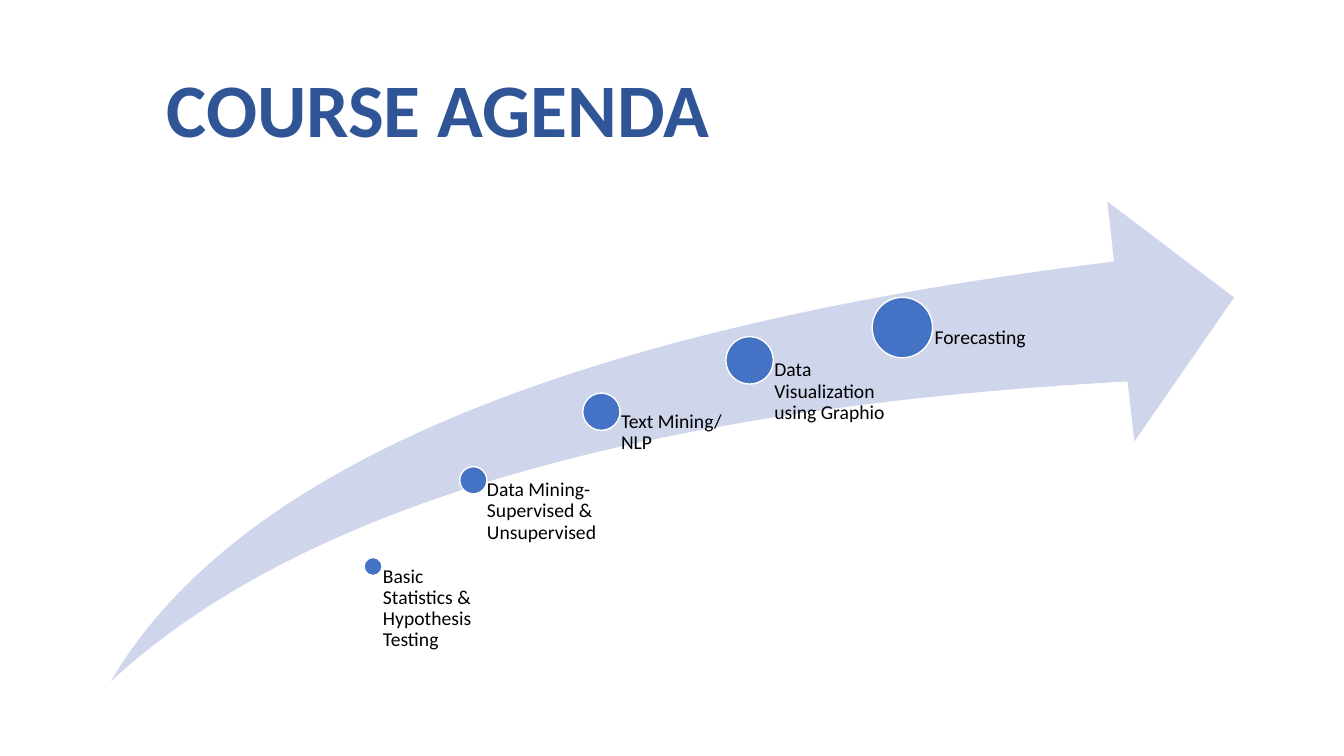
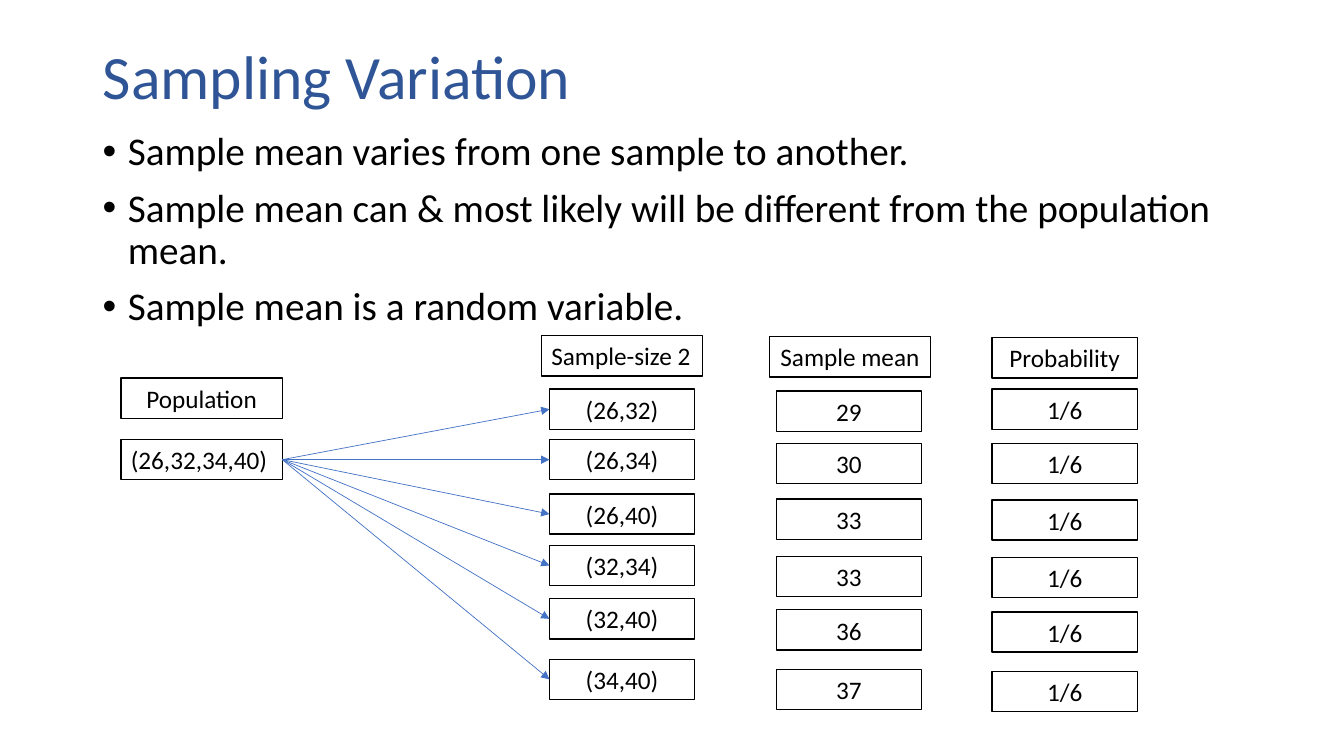
"""Build two course slides: an agenda along an arrow and a sampling variation diagram."""
from dataclasses import dataclass

from lxml.etree import SubElement
from pptx import Presentation
from pptx.dml.color import RGBColor
from pptx.enum.shapes import MSO_CONNECTOR, MSO_SHAPE
from pptx.enum.text import MSO_ANCHOR, MSO_AUTO_SIZE, PP_ALIGN
from pptx.oxml.ns import qn
from pptx.shapes.autoshape import Shape
from pptx.slide import Slide
from pptx.util import Emu, Pt

EMU_PER_PX = 9144
FONT = "Calibri"
BLACK = RGBColor(0x00, 0x00, 0x00)
WHITE = RGBColor(0xFF, 0xFF, 0xFF)
TITLE_BLUE = RGBColor(0x2F, 0x55, 0x97)
ACCENT = RGBColor(0x44, 0x72, 0xC4)
PALE_BLUE = RGBColor(0xCF, 0xD5, 0xEA)

TITLE_ONLY = 5
AGENDA_BOTTOM = 675
BOX_H = 40
CELL_W = 144
WIDE_W = 160
FAN_START = (280, 456)


@dataclass(frozen=True)
class Milestone:
    """A dot on the arrow, given by its centre, with its label."""

    text: str
    x: int
    y: int
    size: int
    label_w: int


@dataclass(frozen=True)
class Box:
    """A bordered text box of the standard height."""

    text: str
    x: int
    y: int
    w: int = CELL_W
    align: PP_ALIGN = PP_ALIGN.CENTER


@dataclass(frozen=True)
class Column:
    """A header box above a stack of cells."""

    header: Box
    x: int
    tops: tuple[int, ...]
    values: tuple[str, ...]


MILESTONES = (
    Milestone("Basic Statistics & Hypothesis Testing", 370, 562, 18, 100),
    Milestone("Data Mining- Supervised & Unsupervised", 469, 476, 27, 126),
    Milestone("Text Mining/ NLP", 596, 408, 37, 147),
    Milestone("Data Visualization using Graphio", 743, 357, 47, 152),
    Milestone("Forecasting", 895, 325, 60, 152),
)

POINTS = (
    "Sample mean varies from one sample to another.",
    "Sample mean can & most likely will be different from the population mean.",
    "Sample mean is a random variable.",
)

POPULATION = (
    Box("Population", 120, 375, WIDE_W),
    Box("(26,32,34,40)", 120, 436, WIDE_W, PP_ALIGN.LEFT),
)

SAMPLES = Column(
    Box("Sample-size 2", 537, 333, WIDE_W, PP_ALIGN.LEFT),
    545,
    (386, 436, 490, 541, 594, 654),
    ("(26,32)", "(26,34)", "(26,40)", "(32,34)", "(32,40)", "(34,40)"),
)
MEANS = Column(
    Box("Sample mean", 763, 334, WIDE_W),
    770,
    (388, 440, 495, 552, 605, 664),
    ("29", "30", "33", "33", "36", "37"),
)
PROBABILITIES = Column(
    Box("Probability", 984, 335),
    984,
    (386, 440, 496, 553, 607, 666),
    ("1/6",) * 6,
)


def px(*lengths: int) -> list[Emu]:
    """Turn px lengths into EMU."""
    return [Emu(n * EMU_PER_PX) for n in lengths]


def write(
    sp: Shape,
    *lines: str,
    size: int,
    color: RGBColor = BLACK,
    bold: bool = False,
    align: PP_ALIGN = PP_ALIGN.LEFT,
    anchor: MSO_ANCHOR = MSO_ANCHOR.TOP,
    spacing: float = 1.0,
    before: int = 0,
    bullet: bool = False,
) -> None:
    """Fill a shape with one formatted paragraph per line."""
    tf = sp.text_frame
    tf.word_wrap = True
    tf.auto_size = MSO_AUTO_SIZE.NONE
    tf.vertical_anchor = anchor
    for i, line in enumerate(lines):
        p = tf.paragraphs[0] if i == 0 else tf.add_paragraph()
        p.alignment = align
        p.line_spacing = spacing
        p.space_before = Pt(before)
        if bullet:
            pPr = p._p.get_or_add_pPr()
            indent = 25 * EMU_PER_PX
            pPr.set("marL", str(indent))
            pPr.set("indent", str(-indent))
            SubElement(pPr, qn("a:buFont")).set("typeface", "Arial")
            SubElement(pPr, qn("a:buChar")).set("char", "•")
        r = p.add_run()
        r.text = line
        r.font.name = FONT
        r.font.size = Pt(size)
        r.font.bold = bold
        r.font.color.rgb = color


def add_shape(
    s: Slide,
    kind: MSO_SHAPE,
    x: int,
    y: int,
    w: int,
    h: int,
    fill: RGBColor,
    line: RGBColor | None = None,
) -> Shape:
    """Add a flat preset shape with an optional 1 pt outline."""
    sp = s.shapes.add_shape(kind, *px(x, y, w, h))
    sp.shadow.inherit = False
    sp.fill.solid()
    sp.fill.fore_color.rgb = fill
    if line is None:
        sp.line.fill.background()
    else:
        sp.line.color.rgb = line
        sp.line.width = Pt(1)
    return sp


def add_titled_slide(
    prs: Presentation,
    title: str,
    x: int,
    y: int,
    w: int,
    h: int,
    size: int,
    bold: bool = False,
    align: PP_ALIGN = PP_ALIGN.LEFT,
) -> Slide:
    """Add a title-only slide and place its blue title."""
    s = prs.slides.add_slide(prs.slide_layouts[TITLE_ONLY])
    sp = s.shapes.title
    sp.left, sp.top, sp.width, sp.height = px(x, y, w, h)
    write(sp, title, size=size, color=TITLE_BLUE, bold=bold, align=align,
          anchor=MSO_ANCHOR.MIDDLE, spacing=0.9)
    return s


def add_milestone(s: Slide, m: Milestone) -> None:
    """Draw a dot and the label that hangs to its lower right."""
    half = m.size // 2
    add_shape(s, MSO_SHAPE.OVAL, m.x - half, m.y - half, m.size, m.size, ACCENT, WHITE)
    sp = s.shapes.add_textbox(*px(m.x, m.y, m.label_w, AGENDA_BOTTOM - m.y))
    tf = sp.text_frame
    tf.margin_left = px(round(m.size * 0.53))[0]
    tf.margin_top = tf.margin_right = tf.margin_bottom = 0
    write(sp, m.text, size=14, spacing=0.9)


def add_box(s: Slide, box: Box) -> None:
    """Draw a white box with a black outline."""
    sp = add_shape(s, MSO_SHAPE.RECTANGLE, box.x, box.y, box.w, BOX_H, WHITE, BLACK)
    write(sp, box.text, size=18, align=box.align, anchor=MSO_ANCHOR.MIDDLE)


def add_column(s: Slide, column: Column) -> None:
    """Draw a header and its cells."""
    add_box(s, column.header)
    for text, top in zip(column.values, column.tops):
        add_box(s, Box(text, column.x, top))


def add_arrow(s: Slide, start: tuple[int, int], end: tuple[int, int]) -> None:
    """Draw a thin straight arrow."""
    cxn = s.shapes.add_connector(MSO_CONNECTOR.STRAIGHT, *px(*start, *end))
    cxn.line.color.rgb = ACCENT
    cxn.line.width = Pt(0.5)
    SubElement(cxn.line._get_or_add_ln(), qn("a:tailEnd")).set("type", "triangle")
    SubElement(cxn._element.spPr, qn("a:effectLst"))


def build_agenda(prs: Presentation) -> None:
    """Build the agenda slide."""
    s = add_titled_slide(prs, "COURSE AGENDA", 92, 62, 685, 101, 54,
                         bold=True, align=PP_ALIGN.CENTER)
    swoosh = add_shape(s, MSO_SHAPE.SWOOSH_ARROW, 110, 200, 1114, 476, PALE_BLUE)
    swoosh.adjustments[0] = swoosh.adjustments[1] = 0.25
    for milestone in MILESTONES:
        add_milestone(s, milestone)


def build_sampling(prs: Presentation) -> None:
    """Build the sampling variation slide."""
    s = add_titled_slide(prs, "Sampling Variation", 92, 33, 1150, 92, 44)
    body = s.shapes.add_textbox(*px(92, 126, 1150, 539))
    write(body, *POINTS, size=28, spacing=0.9, before=10, bullet=True)
    for box in POPULATION:
        add_box(s, box)
    for column in (SAMPLES, MEANS, PROBABILITIES):
        add_column(s, column)
    for top in SAMPLES.tops:
        add_arrow(s, FAN_START, (SAMPLES.x, top + BOX_H // 2))


def main() -> None:
    """Build and save the presentation."""
    prs = Presentation()
    prs.slide_width, prs.slide_height = px(1333, 750)
    build_agenda(prs)
    build_sampling(prs)
    prs.save("out.pptx")


if __name__ == "__main__":
    main()
